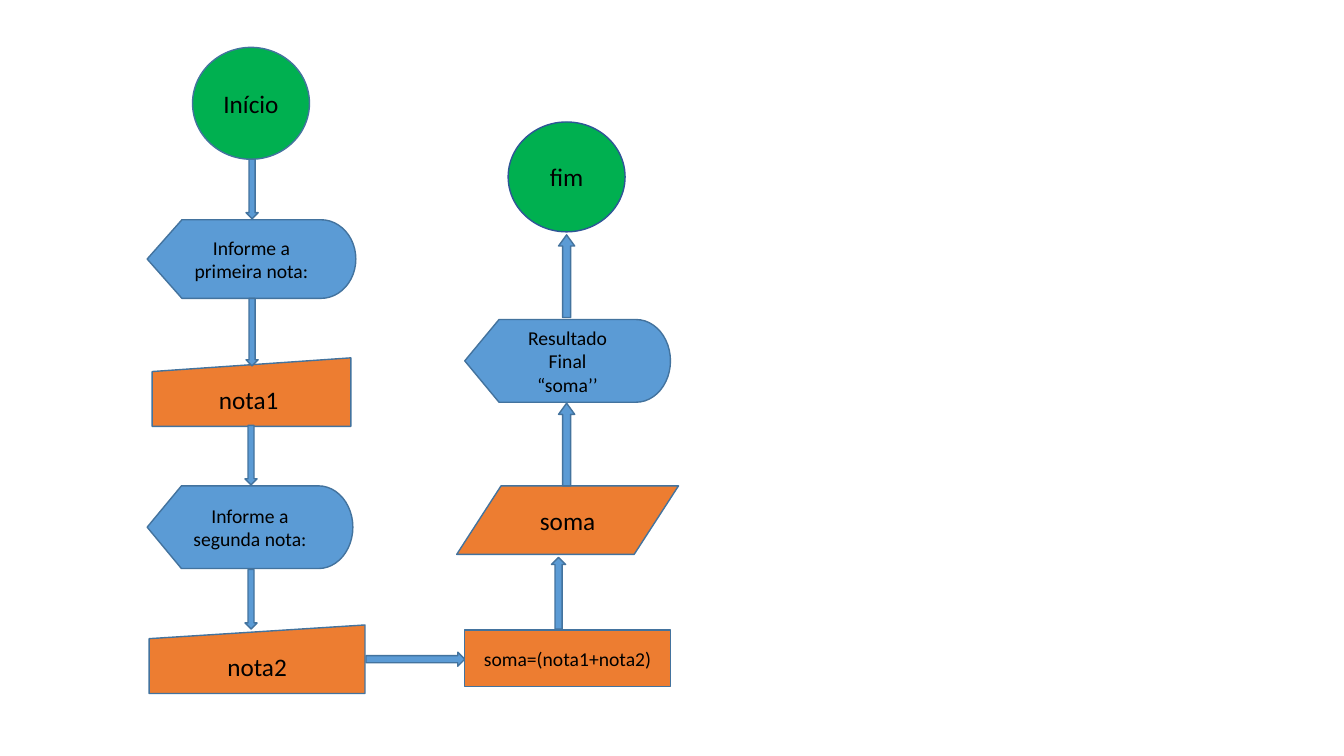
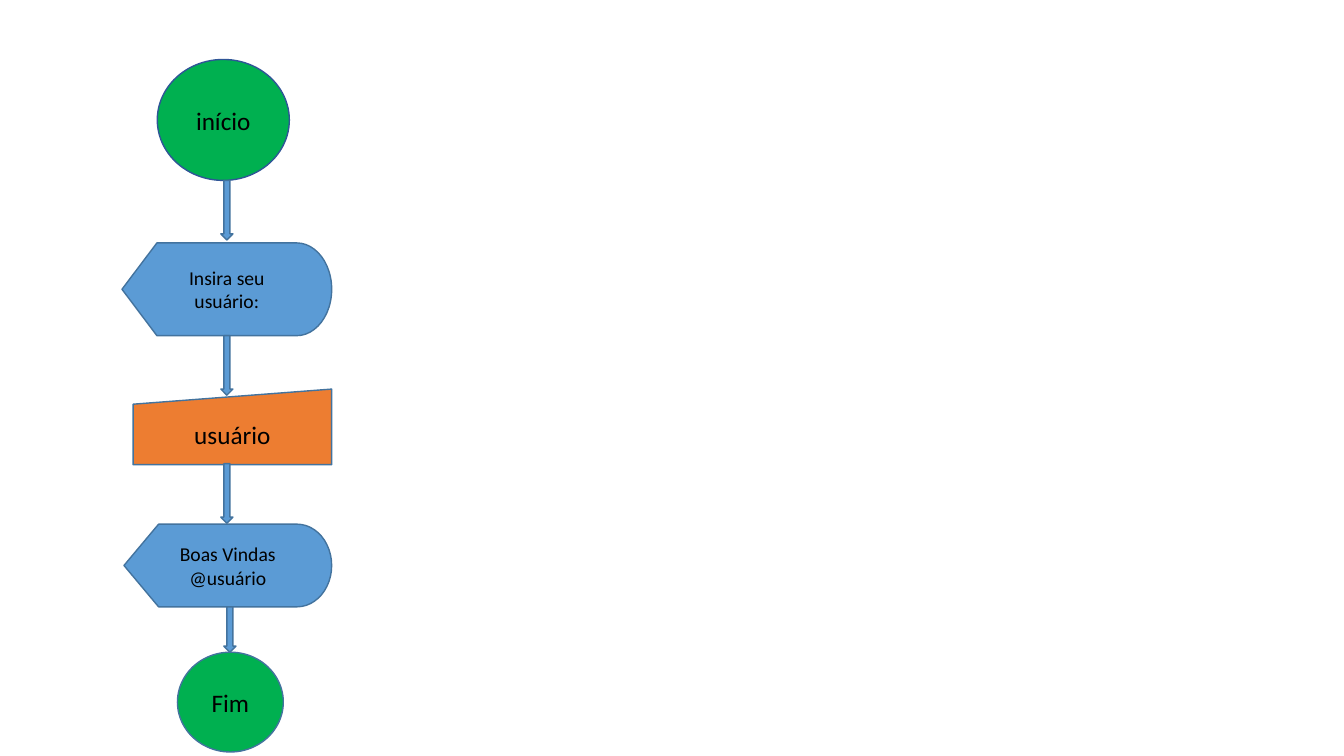
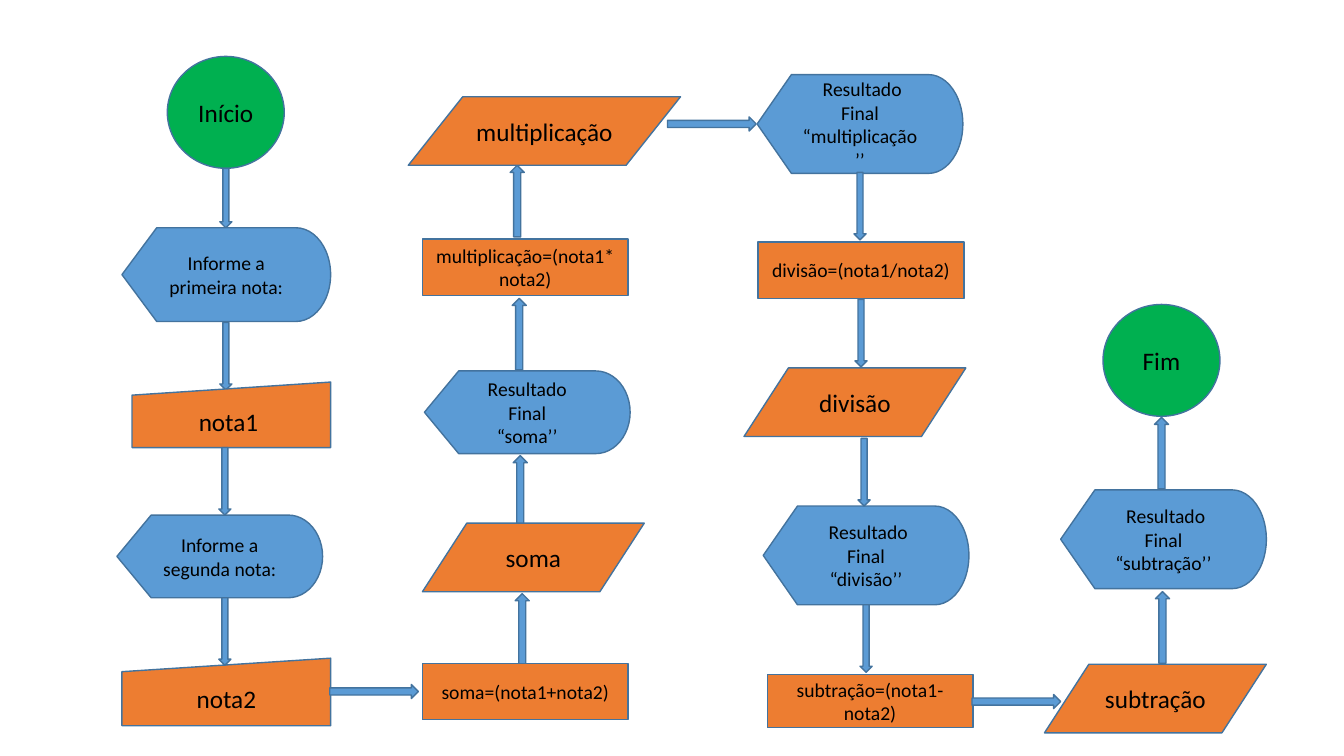
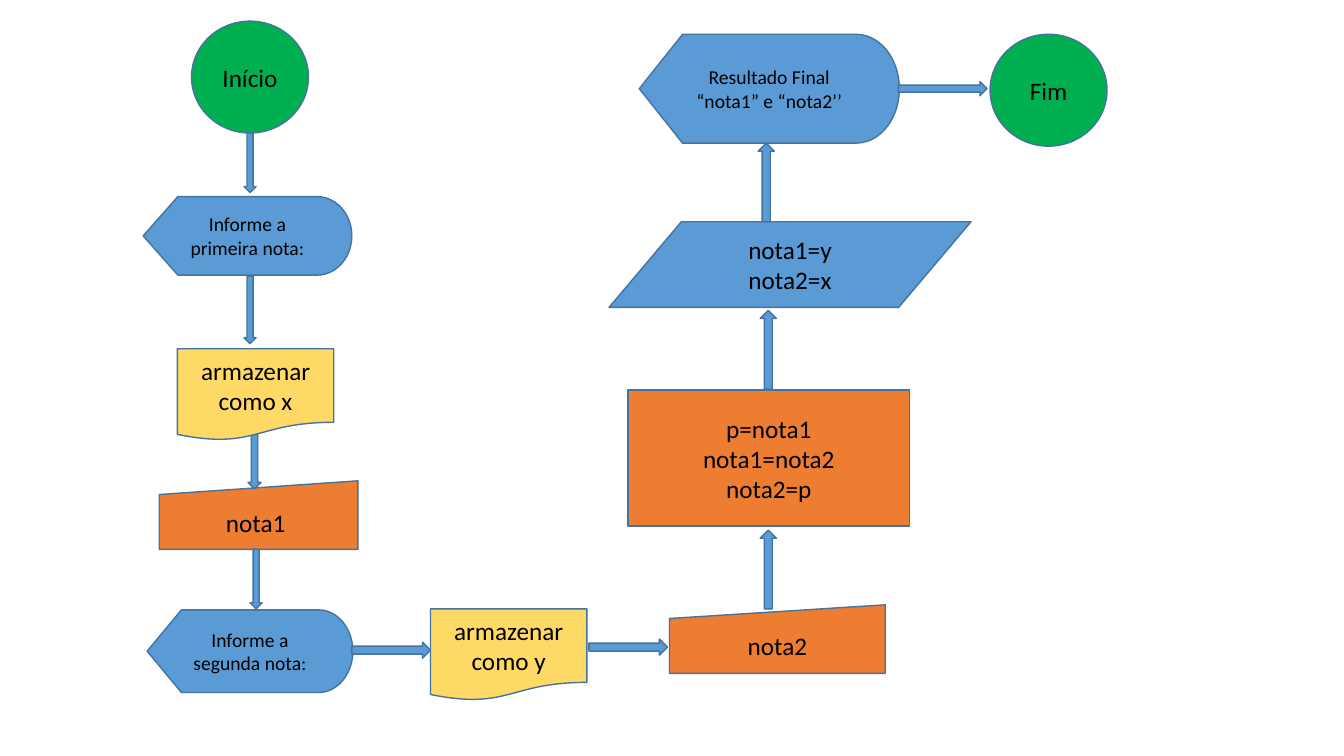
"""Build four flowchart slides from steps and block arrows."""
from dataclasses import dataclass

from pptx import Presentation
from pptx.dml.color import RGBColor
from pptx.enum.shapes import MSO_SHAPE
from pptx.enum.text import MSO_ANCHOR, PP_ALIGN
from pptx.util import Inches, Pt

ELLIPSE = MSO_SHAPE.OVAL
CONNECTOR = MSO_SHAPE.FLOWCHART_CONNECTOR
DISPLAY_SHAPE = MSO_SHAPE.FLOWCHART_DISPLAY
MANUAL_INPUT = MSO_SHAPE.FLOWCHART_MANUAL_INPUT
PROCESS_SHAPE = MSO_SHAPE.FLOWCHART_PROCESS
DATA_SHAPE = MSO_SHAPE.FLOWCHART_DATA
DOCUMENT_SHAPE = MSO_SHAPE.FLOWCHART_DOCUMENT
DOWN_ARROW = MSO_SHAPE.DOWN_ARROW
UP_ARROW = MSO_SHAPE.UP_ARROW
RIGHT_ARROW = MSO_SHAPE.RIGHT_ARROW
MIDDLE = MSO_ANCHOR.MIDDLE
CENTER = PP_ALIGN.CENTER

FONT = "Calibri"
BLACK = "000000"
GREEN = "00B050"
BLUE = "5B9BD5"
ORANGE = "ED7D31"
YELLOW = "FFD966"
OUTLINE = "43739E"
DARK_OUTLINE = "2F5597"


@dataclass(frozen=True)
class Role:
    preset: MSO_SHAPE
    fill: str
    size: int
    width: float
    height: float
    outline: str = OUTLINE


@dataclass(frozen=True)
class Step:
    role: Role
    text: str
    left: float
    top: float
    width: float | None = None
    height: float | None = None
    fill: str | None = None
    size: int | None = None


@dataclass(frozen=True)
class Arrow:
    preset: MSO_SHAPE
    left: float
    top: float
    length: float
    thickness: float
    head: float = 0.5


TERMINAL = Role(ELLIPSE, GREEN, 18, 1.16, 1.11)
DARK_TERMINAL = Role(CONNECTOR, GREEN, 18, 1.16, 1.09, DARK_OUTLINE)
DISPLAY = Role(DISPLAY_SHAPE, BLUE, 14, 2.04, 0.82)
ENTRY = Role(MANUAL_INPUT, ORANGE, 18, 1.97, 0.68)
PROCESS = Role(PROCESS_SHAPE, ORANGE, 14, 2.04, 0.56)
DATA = Role(DATA_SHAPE, ORANGE, 18, 2.2, 0.68)
DOCUMENT = Role(DOCUMENT_SHAPE, YELLOW, 18, 1.55, 0.91)


def down(left: float, top: float, length: float = 0.67, thickness: float = 0.12) -> Arrow:
    return Arrow(DOWN_ARROW, left, top, length, thickness)


def up(left: float, top: float, length: float = 0.71, thickness: float = 0.14,
       head: float = 0.5) -> Arrow:
    return Arrow(UP_ARROW, left, top, length, thickness, head)


def right(left: float, top: float, length: float = 0.88, thickness: float = 0.14) -> Arrow:
    return Arrow(RIGHT_ARROW, left, top, length, thickness)


SUM_FLOW = [
    Step(TERMINAL, "Início", 1.91, 0.47),
    down(2.44, 1.58, 0.59),
    Step(DISPLAY, "Informe a primeira nota:", 1.46, 2.18, 2.07, 0.78),
    Step(ENTRY, "nota1 ", 1.51, 3.55),
    down(2.44, 2.96),
    Step(DISPLAY, "Informe a segunda nota:", 1.46, 4.82),
    down(2.43, 4.22, 0.59),
    down(2.43, 5.65, 0.59),
    Step(ENTRY, "nota2", 1.48, 6.2, 2.14),
    right(3.63, 6.47, 0.98),
    Step(PROCESS, "soma=(nota1+nota2)", 4.61, 6.25),
    Step(DATA, "soma", 4.53, 4.82),
    up(5.47, 5.53),
    up(5.54, 4, 0.82, 0.16, 0.69),
    Step(DISPLAY, "Resultado Final\n“soma’’", 4.61, 3.17),
    up(5.54, 2.33, 0.82, 0.16, 0.69),
    Step(DARK_TERMINAL, "fim", 5.04, 1.21),
]

WELCOME_FLOW = [
    Step(DARK_TERMINAL, "início", 1.56, 0.59, 1.31, 1.2),
    down(2.19, 1.79, 0.59),
    Step(DISPLAY, "Insira seu usuário:", 1.21, 2.41, 2.08, 0.92),
    down(2.19, 3.33, 0.59),
    Step(ENTRY, "usuário", 1.32, 3.86, height=0.75),
    down(2.19, 4.6, 0.59),
    Step(DISPLAY, "Boas Vindas\n@usuário", 1.23, 5.2, 2.06),
    Step(TERMINAL, "Fim", 1.76, 6.47, 1.05, 0.99),
    down(2.22, 6.02, 0.45),
]

OPERATIONS_FLOW = [
    Step(TERMINAL, "Início", 1.66, 0.56),
    down(2.18, 1.67, 0.59),
    Step(DISPLAY, "Informe a primeira nota:", 1.21, 2.26, 2.07, 0.93),
    down(2.18, 3.2),
    Step(ENTRY, "nota1 ", 1.31, 3.79, height=0.65),
    Step(DISPLAY, "Informe a segunda nota:", 1.16, 5.11),
    down(2.17, 4.44),
    Step(ENTRY, "nota2", 1.21, 6.53, 2.07, 0.67),
    down(2.17, 5.93),
    right(3.27, 6.79),
    up(5.11, 5.89),
    Step(PROCESS, "soma=(nota1+nota2)", 4.19, 6.58),
    up(5.09, 4.52),
    Step(DATA, "soma", 4.19, 5.19),
    up(5.08, 2.96),
    Step(DISPLAY, "Resultado Final\n“soma’’", 4.21, 3.68),
    up(5.06, 1.64),
    Step(PROCESS, "multiplicação=(nota1*nota2)", 4.19, 2.37),
    Step(DATA, "multiplicação", 4.05, 0.96, 2.7),
    Step(DISPLAY, " Resultado Final\n“multiplicação’’", 7.51, 0.74, height=0.98),
    right(6.62, 1.16),
    Step(PROCESS, "divisão=(nota1/nota2)", 7.52, 2.4),
    down(8.47, 1.71),
    Step(DATA, "divisão", 7.38, 3.65),
    down(8.48, 2.97),
    Step(DISPLAY, " Resultado Final\n“divisão’’", 7.57, 5.02, height=0.98),
    down(8.51, 4.35),
    Step(PROCESS, "subtração=(nota1-nota2)", 7.61, 6.69, height=0.53),
    down(8.53, 6),
    right(9.64, 6.89),
    Step(DATA, "subtração", 10.36, 6.59),
    up(11.46, 5.87),
    Step(DISPLAY, " Resultado Final\n“subtração’’", 10.52, 4.86, height=0.98),
    Step(TERMINAL, "Fim", 10.94, 3.02),
    up(11.45, 4.14),
]

SWAP_FLOW = [
    Step(TERMINAL, "Início", 1.9, 0.21),
    down(2.42, 1.32, 0.59),
    Step(DISPLAY, "Informe a primeira nota:", 1.42, 1.95, 2.07, 0.78),
    Step(ENTRY, "nota1 ", 1.58, 4.77),
    down(2.42, 2.74),
    Step(DISPLAY, "Informe a segunda nota:", 1.46, 6.05),
    down(2.46, 4.28, 0.57, 0.13),
    down(2.48, 5.45, 0.59),
    Step(DOCUMENT, "armazenar como x", 1.76, 3.46),
    right(3.49, 6.37, 0.78, 0.16),
    Step(DOCUMENT, "armazenar como y", 4.27, 6.04),
    right(5.84, 6.34, 0.78, 0.16),
    Step(ENTRY, "nota2", 6.64, 6, 2.14),
    Step(PROCESS, "p=nota1\nnota1=nota2\nnota2=p", 6.23, 3.87, 2.79, 1.35, size=18),
    Step(DATA, "nota1=y\nnota2=x", 6.04, 2.2, 3.59, 0.85, fill=BLUE),
    up(7.54, 5.26, 0.78, 0.16),
    up(7.54, 3.08, 0.78, 0.16),
    up(7.52, 1.42, 0.78, 0.16),
    Step(DISPLAY, "Resultado Final\n“nota1” e “nota2’’", 6.34, 0.34, 2.58, 1.08),
    right(8.91, 0.81),
    Step(TERMINAL, "Fim", 9.82, 0.34),
]


def color(value: str) -> RGBColor:
    return RGBColor.from_string(value)


def write(frame, text: str, *, size: int, ink: str = BLACK, font: str = FONT) -> None:
    frame.word_wrap = True
    frame.vertical_anchor = MIDDLE
    frame.text = text
    for paragraph in frame.paragraphs:
        paragraph.alignment = CENTER
        for run in paragraph.runs:
            run.font.name = font
            run.font.size = Pt(size)
            run.font.color.rgb = color(ink)


def add_block(slide, preset: MSO_SHAPE, box: tuple[float, float, float, float],
              fill: str, outline: str = OUTLINE):
    block = slide.shapes.add_shape(preset, *map(Inches, box))
    block.shadow.inherit = False
    block.fill.solid()
    block.fill.fore_color.rgb = color(fill)
    block.line.color.rgb = color(outline)
    block.line.width = Pt(1)
    return block


def draw_step(slide, step: Step) -> None:
    role = step.role
    box = (step.left, step.top, step.width or role.width, step.height or role.height)
    block = add_block(slide, role.preset, box, step.fill or role.fill, role.outline)
    write(block.text_frame, step.text, size=step.size or role.size)


def draw_arrow(slide, arrow: Arrow) -> None:
    extent = (arrow.thickness, arrow.length)
    if arrow.preset == RIGHT_ARROW:
        extent = extent[::-1]
    block = add_block(slide, arrow.preset, (arrow.left, arrow.top, *extent), BLUE)
    block.adjustments[1] = arrow.head


def draw_flow(slide, flow: list[Step | Arrow]) -> None:
    for item in flow:
        if isinstance(item, Step):
            draw_step(slide, item)
        else:
            draw_arrow(slide, item)


def main() -> None:
    deck = Presentation()
    deck.slide_width = Inches(13.33)
    deck.slide_height = Inches(7.5)
    blank = deck.slide_layouts[6]
    for flow in (SUM_FLOW, WELCOME_FLOW, OPERATIONS_FLOW, SWAP_FLOW):
        draw_flow(deck.slides.add_slide(blank), flow)
    deck.save("out.pptx")


main()
